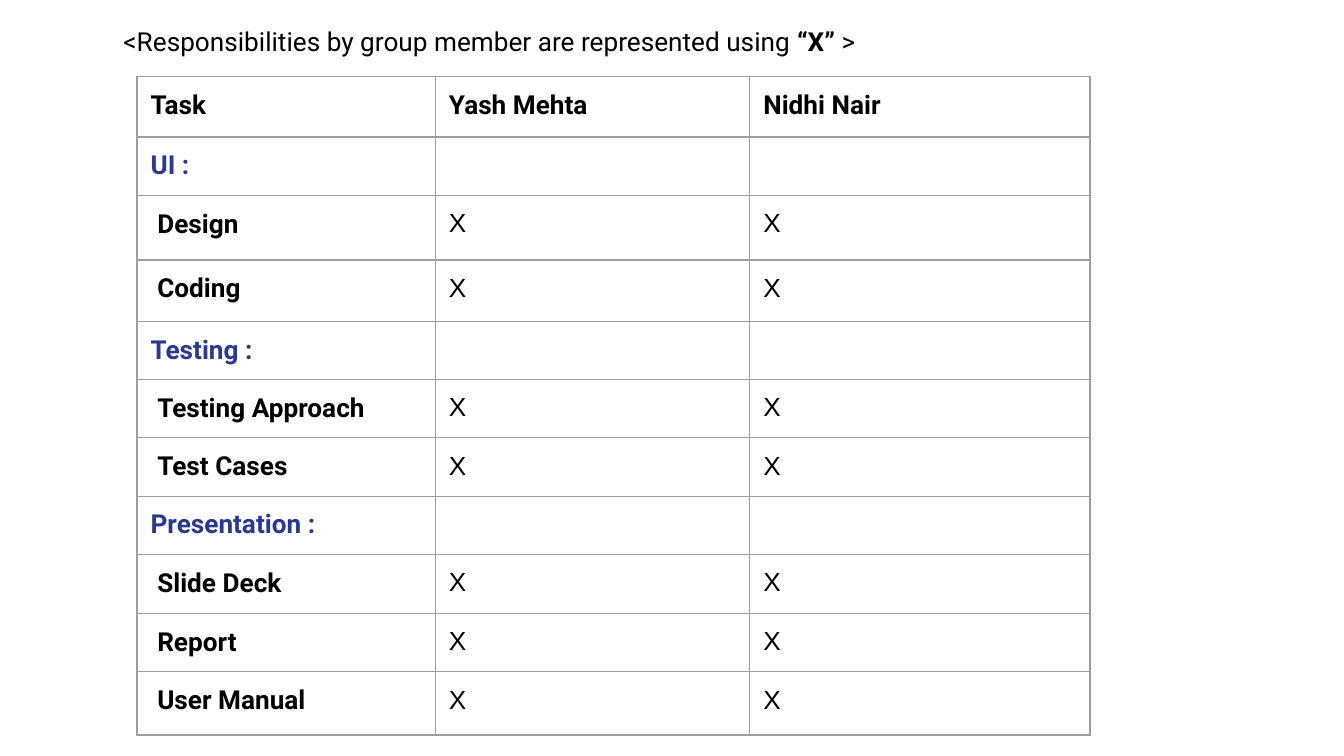
"""Build a slide with a table of responsibilities by group member."""
from lxml import etree
from pptx import Presentation
from pptx.dml.color import RGBColor
from pptx.oxml.ns import qn
from pptx.util import Inches, Pt

COLORS = {"text": "000000", "section": "2A3990", "border": "9E9E9E"}
HEADING, BODY = "Roboto", "Arial"
PAD = 0.1
COLUMNS = [2.22, 2.34, 2.53]
SECTIONS = ("UI :", "Testing :", "Presentation :")
MEMBERS = ("Yash Mehta", "Nidhi Nair")
PLAN_ROWS = [("Task", 0.45), ("UI :", 0.43), ("Design", 0.48), ("Coding", 0.46)]
DELIVERY_ROWS = [
    ("Testing :", 0.42), ("Testing Approach", 0.43), ("Test Cases", 0.42),
    ("Presentation :", 0.42), ("Slide Deck", 0.44), ("Report", 0.43),
    ("User Manual", 0.47),
]


def set_font(p, name=HEADING, color="text", bold=False):
    p.font.name = name
    p.font.size = Pt(14)
    p.font.bold = bold
    p.font.color.rgb = RGBColor.from_string(COLORS[color])


def set_margins(box, left=PAD):
    box.margin_left = Inches(left)
    box.margin_right = box.margin_top = box.margin_bottom = Inches(PAD)


def add_borders(cell):
    tc_pr = cell._tc.get_or_add_tcPr()
    for side in ("a:lnL", "a:lnR", "a:lnT", "a:lnB"):
        line = etree.SubElement(tc_pr, qn(side), w=str(Pt(0.75)))
        fill = etree.SubElement(line, qn("a:solidFill"))
        etree.SubElement(fill, qn("a:srgbClr"), val=COLORS["border"])


def fill_cell(cell, text, left=PAD, **font):
    set_margins(cell, left)
    add_borders(cell)
    cell.fill.background()
    p = cell.text_frame.paragraphs[0]
    set_font(p, **font)
    if text:
        p.add_run().text = text
    else:
        etree.SubElement(p._p, qn("a:endParaRPr"), sz="1400")


def fill_row(cells, label):
    task, *members = cells
    if label == "Task":
        fill_cell(task, label, bold=True)
        for cell, name in zip(members, MEMBERS):
            fill_cell(cell, name, bold=True)
        return
    is_section = label in SECTIONS
    fill_cell(task, label, left=PAD if is_section else 0.15,
              color="section" if is_section else "text", bold=True)
    for cell in members:
        fill_cell(cell, "" if is_section else "X", name=BODY)


def add_task_table(s, top, rows):
    height = sum(h for _, h in rows)
    frame = s.shapes.add_table(len(rows), len(COLUMNS), Inches(1.02), Inches(top),
                               Inches(sum(COLUMNS)), Inches(height))
    table = frame.table
    table.first_row = table.horz_banding = False
    for column, width in zip(table.columns, COLUMNS):
        column.width = Inches(width)
    for row, (label, row_height) in zip(table.rows, rows):
        row.height = Inches(row_height)
        fill_row(row.cells, label)


def add_caption(s):
    tf = s.shapes.add_textbox(Inches(0.82), Inches(0.09),
                              Inches(6.42), Inches(0.48)).text_frame
    tf.word_wrap = True
    set_margins(tf)
    p = tf.paragraphs[0]
    set_font(p)
    p.add_run().text = "<Responsibilities by group member are represented using "
    r = p.add_run()
    r.text = "“X” "
    r.font.bold = True
    p.add_run().text = ">"


def main():
    prs = Presentation()
    prs.slide_width = Inches(10)
    prs.slide_height = prs.slide_width * 9 // 16
    s = prs.slides.add_slide(prs.slide_layouts[6])
    add_caption(s)
    add_task_table(s, 0.57, PLAN_ROWS)
    add_task_table(s, 2.39, DELIVERY_ROWS)
    prs.save("out.pptx")


main()
